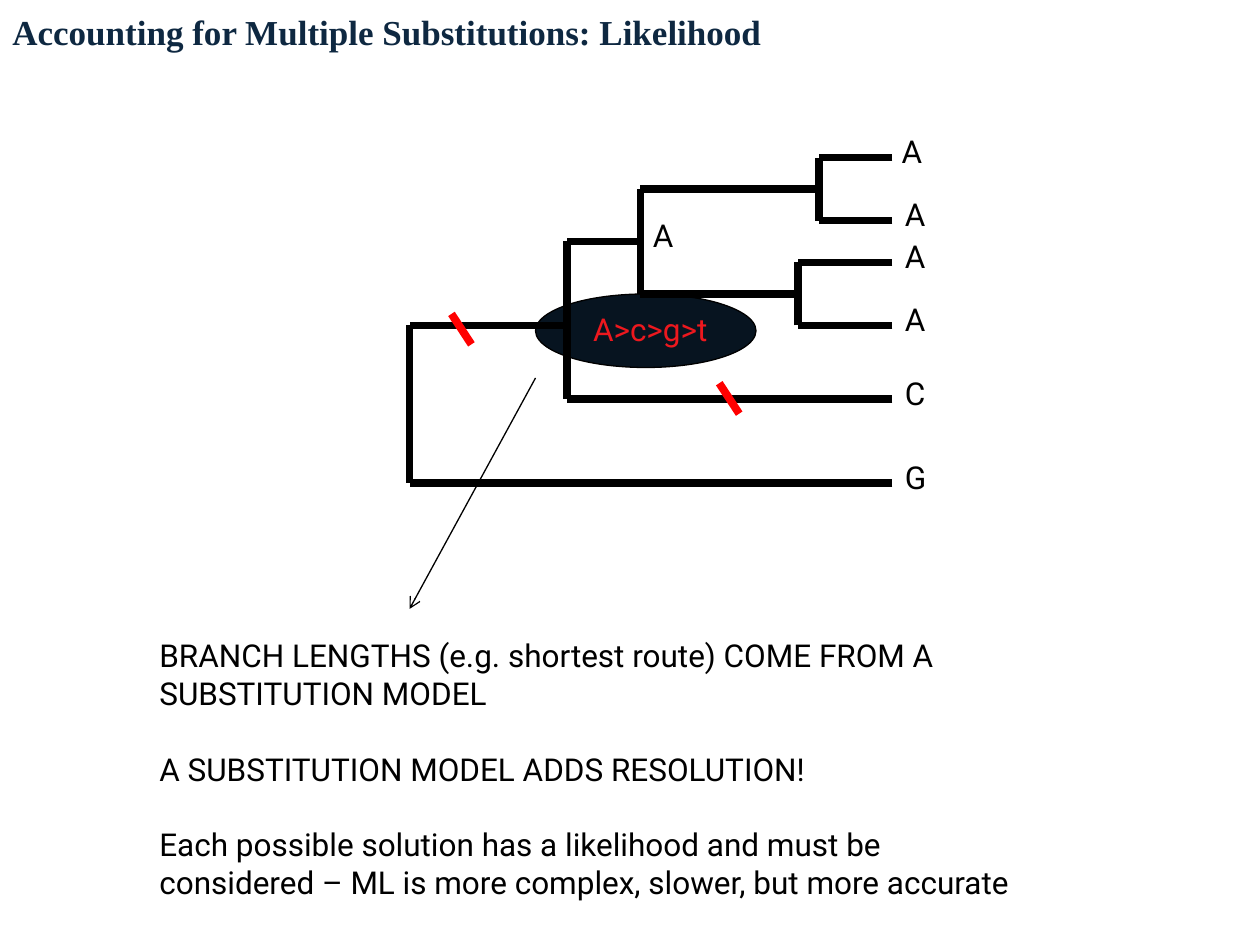
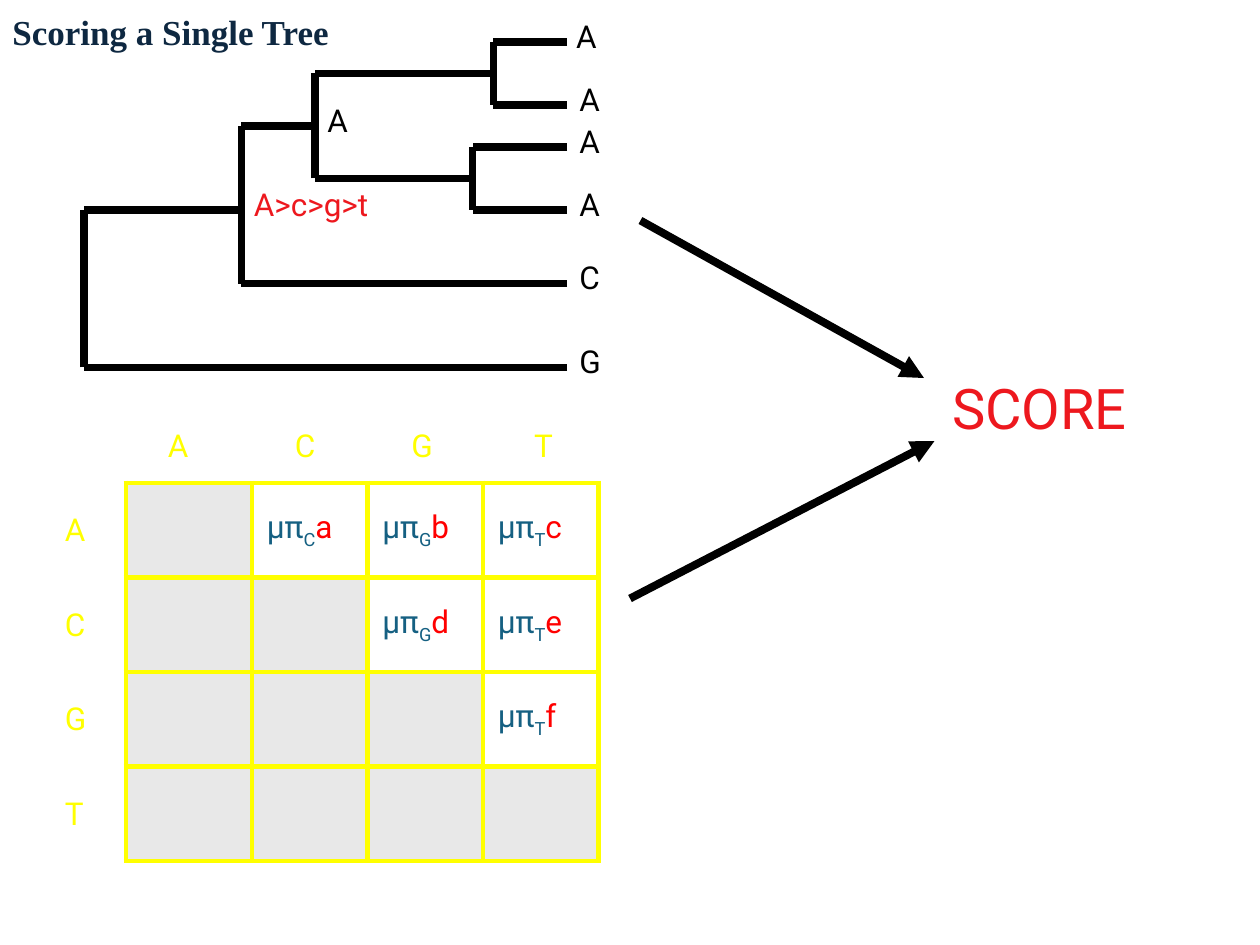
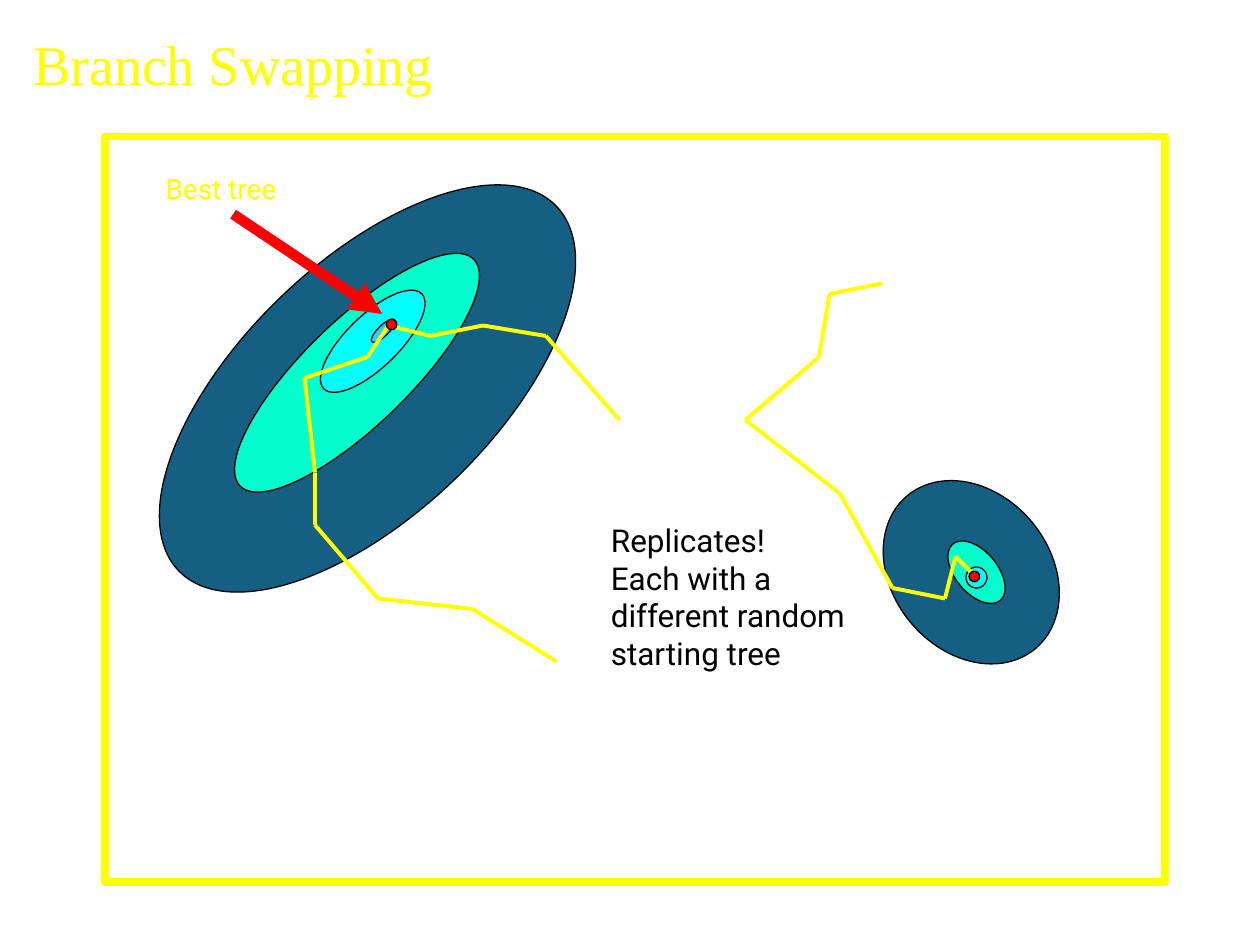
from itertools import pairwise

from lxml.etree import SubElement
from pptx import Presentation
from pptx.dml.color import RGBColor
from pptx.enum.shapes import MSO_CONNECTOR, MSO_SHAPE
from pptx.enum.text import MSO_ANCHOR, MSO_AUTO_SIZE, PP_ALIGN
from pptx.oxml.ns import qn
from pptx.util import Cm, Pt

UNIT = 2.54 / 12
COLORS = {
    "black": "000000", "navy": "0E2841", "ink": "071420", "blue": "156082",
    "aqua": "00FFCC", "cyan": "00FFFF", "sky": "33CCFF", "gray": "E8E8E8",
    "yellow": "FFFF00", "red": "FF0000", "crimson": "ED181E",
}
RGB = {name: RGBColor.from_string(value) for name, value in COLORS.items()}
LETTER_WIDTHS = {"A": 5.3, "C": 5, "G": 5.3, "T": 4.8}


def add_text(slide, box, paragraphs, color="black", size=18, font="Roboto", wrap=False):
    tb = slide.shapes.add_textbox(*[Cm(v * UNIT) for v in box])
    tf = tb.text_frame
    tf.word_wrap = wrap
    tf.auto_size = MSO_AUTO_SIZE.SHAPE_TO_FIT_TEXT
    tf.text = "\n".join(paragraphs)
    for p in tf.paragraphs:
        for r in p.runs:
            r.font.size = Pt(size)
            r.font.name = font
            r.font.color.rgb = RGB[color]
    return tf


def add_lines(slide, points, color="black", width=4.5, arrow=None):
    for start, end in pairwise(points):
        ends = [Cm(v * UNIT) for v in (*start, *end)]
        cxn = slide.shapes.add_connector(MSO_CONNECTOR.STRAIGHT, *ends)
        cxn.line.color.rgb = RGB[color]
        cxn.line.width = Pt(width)
        spPr = cxn._element.spPr
        if arrow:
            SubElement(spPr.find(qn("a:ln")), qn("a:tailEnd"), type=arrow)
        SubElement(spPr, qn("a:effectLst"))


prs = Presentation()
prs.slide_width = Cm(25.4)
prs.slide_height = Cm(19.05)
likelihood, scoring, swapping = [prs.slides.add_slide(prs.slide_layouts[6]) for _ in range(3)]

titles = [
    (likelihood, (0, 0, 102, 6), "Accounting for Multiple Substitutions: Likelihood", "navy", 20, True),
    (scoring, (0, 0, 102, 6), "Scoring a Single Tree", "navy", 20, True),
    (swapping, (2, 1, 102, 10), "Branch Swapping", "yellow", 32, False),
]
for slide, box, title, color, size, bold in titles:
    tf = add_text(slide, box, [title], color, size, "Times New Roman", True)
    tf.auto_size = MSO_AUTO_SIZE.NONE
    tf.vertical_anchor = MSO_ANCHOR.MIDDLE
    tf.paragraphs[0].runs[0].font.bold = bold

frame = swapping.shapes.add_shape(
    MSO_SHAPE.RECTANGLE, *[Cm(v * UNIT) for v in (10, 13, 101, 71)])
frame.shadow.inherit = False
frame.fill.background()
frame.line.color.rgb = RGB["yellow"]
frame.line.width = Pt(4.5)

best_trails = [
    [(59, 40), (52, 32), (46, 31), (41, 32), (37, 31)],
    [(53, 63), (45, 58), (36, 57), (30, 50), (30, 45), (29, 36), (35, 34), (37, 31)],
]
local_trails = [
    [(84, 27), (79, 28), (78, 34), (71, 40), (80, 47), (85, 56), (90, 57), (91, 53), (93, 55)],
]
ovals = [
    (likelihood, (51, 28, 21, 7), 0, "ink", []),
    (swapping, (23, 12, 24, 50), 46, "blue", []),
    (swapping, (29, 20, 10, 31), 45.9, "aqua", []),
    (swapping, (33, 26, 5, 13), 45.9, "cyan", []),
    (swapping, (36, 30, 1, 3), 45.7, "sky", []),
    (swapping, (85, 45, 15, 19), 320, "blue", []),
    (swapping, (91, 51, 4, 7), 320, "aqua", []),
    (swapping, (92, 54, 2, 2), 320, "cyan", []),
    (swapping, (92.3, 54.4, 1, 1), 0, "red", local_trails),
    (swapping, (36.8, 30.4, 1, 1), 0, "red", best_trails),
]
for slide, box, rotation, color, trails in ovals:
    for trail in trails:
        add_lines(slide, trail, "yellow", 2.25)
    sp = slide.shapes.add_shape(MSO_SHAPE.OVAL, *[Cm(v * UNIT) for v in box])
    sp.shadow.inherit = False
    sp.rotation = rotation
    sp.fill.solid()
    sp.fill.fore_color.rgb = RGB[color]
    sp.line.color.rgb = RGB["black"]
    sp.line.width = Pt(0.75)

branches = [
    ((46, 0), (39, 0)), ((46, 6), (39, 6)), ((39, 3), (22, 3)),
    ((46, 10), (37, 10)), ((37, 13), (22, 13)), ((46, 16), (37, 16)),
    ((22, 13), (22, 3)), ((37, 16), (37, 10)), ((39, 6), (39, 0)),
    ((22, 8), (15, 8)), ((46, 23), (15, 23)), ((15, 23), (15, 8)),
    ((15, 16), (0, 16)), ((0, 31), (0, 16)), ((46, 31), (0, 31)),
]
states = [
    (45.7, 0, "A"), (46, 6, "A"), (46, 10, "A"), (46, 16, "A"),
    (46, 23, "C"), (46, 31, "G"), (22, 8, "A"),
]
trees = [(likelihood, 39, 15, (55.3, 28.9)), (scoring, 8, 4, (23, 17))]
for slide, left, top, ancestor in trees:
    for branch in branches:
        add_lines(slide, [(left + x, top + y) for x, y in branch])
    for x, y, letter in states:
        add_text(slide, (left + x, top + y - 3, LETTER_WIDTHS[letter], 6), [letter])
    add_text(slide, (*ancestor, 16.9, 6), ["A>c>g>t"], "crimson")

tf = add_text(likelihood, (14, 60, 85.7, 26.6), [
    "BRANCH LENGTHS (e.g. shortest route) COME FROM A SUBSTITUTION MODEL",
    "A SUBSTITUTION MODEL ADDS RESOLUTION!",
    "Each possible solution has a likelihood and must be considered – "
    "ML is more complex, slower, but more accurate",
], wrap=True)
for p in tf.paragraphs[1:]:
    p.space_before = Pt(21.6)
add_lines(likelihood, [(51, 36), (39, 58)], width=0.75, arrow="arrow")
for x, y in [(43, 29.9), (68.5, 36.5)]:
    add_lines(likelihood, [(x + 1.9, y + 2.9), (x, y)], "red")

bases = "ACGT"
rates = {
    (0, 1): "a", (0, 2): "b", (0, 3): "c",
    (1, 2): "d", (1, 3): "e", (2, 3): "f",
}
table = scoring.shapes.add_table(
    4, 4, *[Cm(v * UNIT) for v in (12, 46, 45, 36)]).table
table.first_row = False
table.horz_banding = False
for i, width in enumerate([12, 11, 11, 11]):
    table.columns[i].width = Cm(width * UNIT)
    table.rows[i].height = Cm(9 * UNIT)
for row in range(4):
    for col in range(4):
        cell = table.cell(row, col)
        cell.vertical_anchor = MSO_ANCHOR.MIDDLE
        cell.margin_left = Cm(0.3)
        cell.margin_right = 0
        if (row, col) in rates:
            cell.fill.background()
            parts = [("μπ", "blue"), (bases[col], "blue"), (rates[row, col], "red")]
            for k, (text, color) in enumerate(parts):
                r = cell.text_frame.paragraphs[0].add_run()
                r.text = text
                r.font.size = Pt(18)
                r.font.name = "Roboto"
                r.font.color.rgb = RGB[color]
                if k == 1:
                    r.font._element.set("baseline", "-25000")
        else:
            cell.fill.solid()
            cell.fill.fore_color.rgb = RGB["gray"]
        tcPr = cell._tc.get_or_add_tcPr()
        for k, side in enumerate(["a:lnL", "a:lnR", "a:lnT", "a:lnB"]):
            ln = SubElement(tcPr, qn(side), w=str(Pt(3)))
            SubElement(SubElement(ln, qn("a:solidFill")), qn("a:srgbClr"), val=COLORS["yellow"])
            tcPr.insert(k, ln)

for i, (base, x) in enumerate(zip(bases, [14.8, 26.9, 38, 49.7])):
    add_text(scoring, (x, 40, LETTER_WIDTHS[base], 6), [base], "yellow")
    add_text(scoring, (5, 48 + 9 * i, LETTER_WIDTHS[base], 6), [base], "yellow")

tf = add_text(scoring, (79, 35, 40, 7.6), ["SCORE"], "crimson", 32, wrap=True)
tf.paragraphs[0].alignment = PP_ALIGN.CENTER
add_lines(scoring, [(61, 21), (88, 36)], arrow="triangle")
add_lines(scoring, [(60, 57), (89, 42)], arrow="triangle")

add_text(swapping, (57, 49, 24.7, 15.7),
         ["Replicates!", "Each with a different random starting tree"], wrap=True)
add_text(swapping, (14.6, 15.7, 13.2, 4.4), ["Best tree"], "yellow", 16, wrap=True)
add_lines(swapping, [(22.2, 20.4), (36.4, 29.9)], "red", 6, "triangle")

prs.save("out.pptx")
